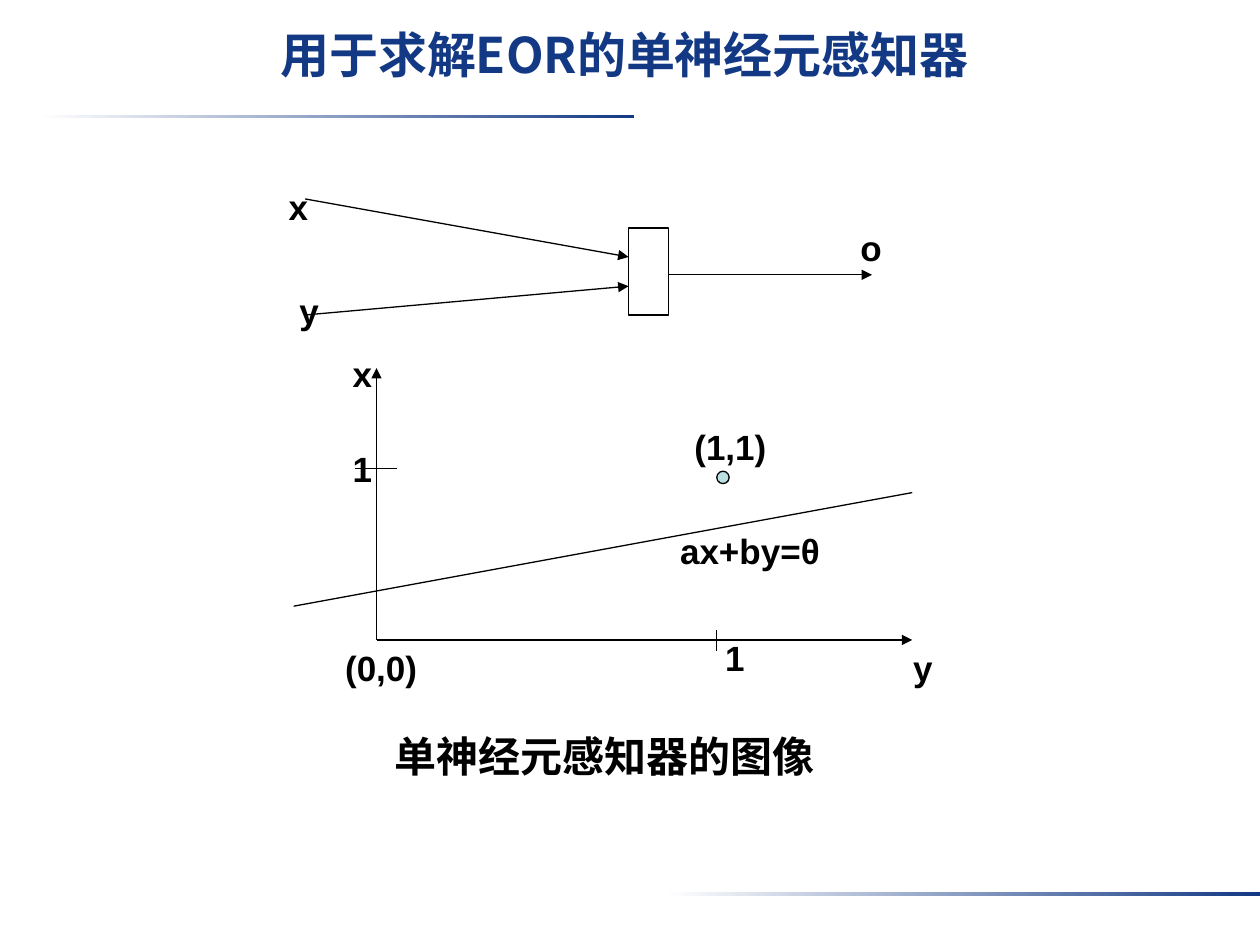
from typing import NamedTuple

import pptx
import pptx.dml.color
import pptx.enum.shapes
import pptx.enum.text
import pptx.util
from lxml import etree
from pptx.oxml.ns import qn

Cm = pptx.util.Cm
RGBColor = pptx.dml.color.RGBColor
SHAPE = pptx.enum.shapes.MSO_SHAPE
ALIGN = pptx.enum.text.PP_ALIGN
ANCHOR = pptx.enum.text.MSO_ANCHOR

NAVY = RGBColor(0x13, 0x39, 0x84)
BLACK = RGBColor(0, 0, 0)
WHITE = RGBColor(0xFF, 0xFF, 0xFF)
PALE_TEAL = RGBColor(0xBB, 0xE0, 0xE3)

LATIN, CHINESE = "Arial", "Noto Sans CJK SC"
LABEL_HEIGHT = 1.09
ORIGIN_X, ORIGIN_Y = 7.59, 12.9
AXIS_END_X, AXIS_END_Y = 18.39, 7.42
UNIT_X, UNIT_Y = 14.45, 9.45


class Box(NamedTuple):
    left: float
    top: float
    width: float
    height: float = LABEL_HEIGHT

    def lengths(self) -> list:
        return [Cm(value) for value in self]


class Run(NamedTuple):
    text: str
    font: str = LATIN
    size: int = 20
    color: RGBColor = BLACK


class Segment(NamedTuple):
    x1: float
    y1: float
    x2: float
    y2: float
    arrow: bool = False


class Label(NamedTuple):
    text: str
    box: Box


def add_text(slide, box: Box, runs: list[Run], align=ALIGN.CENTER,
             anchor=ANCHOR.TOP, spacing: float = 1.0):
    text_box = slide.shapes.add_textbox(*box.lengths())
    frame = text_box.text_frame
    frame.word_wrap = True
    frame.vertical_anchor = anchor
    paragraph = frame.paragraphs[0]
    paragraph.alignment = align
    paragraph.line_spacing = spacing
    for part in runs:
        run = paragraph.add_run()
        run.text = part.text
        font_format = {"name": part.font, "size": pptx.util.Pt(part.size), "bold": True}
        for attribute, value in font_format.items():
            setattr(run.font, attribute, value)
        run.font.color.rgb = part.color
        east_asian = etree.SubElement(run.font._element, qn("a:ea"))
        east_asian.set("typeface", part.font)
    return text_box


def add_outlined(slide, kind, box: Box, color: RGBColor) -> None:
    shape = slide.shapes.add_shape(kind, *box.lengths())
    shape.shadow.inherit = False
    shape.fill.solid()
    shape.fill.fore_color.rgb = color
    shape.line.color.rgb = BLACK
    shape.line.width = pptx.util.Pt(0.75)


def add_fading_bar(slide, box: Box) -> None:
    bar = slide.shapes.add_shape(SHAPE.RECTANGLE, *box.lengths())
    bar.shadow.inherit = False
    bar.line.fill.background()
    bar.fill.gradient()
    bar.fill.gradient_angle = 0
    for stop, color in zip(bar.fill.gradient_stops, (WHITE, NAVY)):
        stop.color.rgb = color


def add_segment(slide, segment: Segment) -> None:
    line = slide.shapes.add_connector(
        pptx.enum.shapes.MSO_CONNECTOR.STRAIGHT, *[Cm(value) for value in segment[:4]])
    line.line.color.rgb = BLACK
    line.line.width = pptx.util.Pt(0.75)
    if segment.arrow:
        etree.SubElement(line.line._get_or_add_ln(), qn("a:tailEnd")).set("type", "triangle")
    etree.SubElement(line._element.spPr, qn("a:effectLst"))


def add_labels(slide, labels: list[Label]) -> None:
    for label in labels:
        add_text(slide, label.box, [Run(label.text)])


def draw_neuron(slide) -> None:
    add_outlined(slide, SHAPE.RECTANGLE, Box(12.67, 4.6, 0.81, 1.75), WHITE)
    for signal in (
        Segment(6.15, 4.01, 12.67, 5.18, True),
        Segment(6.15, 6.35, 12.67, 5.77, True),
        Segment(13.49, 5.54, 17.58, 5.54, True),
    ):
        add_segment(slide, signal)
    add_labels(slide, [
        Label("x", Box(5.28, 3.61, 1.47)),
        Label("y", Box(5.28, 5.72, 1.9)),
        Label("o", Box(16.71, 4.45, 1.7)),
    ])


def draw_graph(slide) -> None:
    add_text(slide, Box(6.43, 14.6, 11.53, 1.27),
             [Run("单神经元感知器", CHINESE, 24), Run("的图像", LATIN, 24)],
             anchor=ANCHOR.MIDDLE)
    equation = add_text(slide, Box(13.46, 10.54, 5.03, 1.12), [Run("ax+by=θ")],
                        align=ALIGN.JUSTIFY)
    equation.fill.solid()
    equation.fill.fore_color.rgb = WHITE

    # Axes, unit ticks and the separating line
    for segment in (
        Segment(ORIGIN_X, ORIGIN_Y, ORIGIN_X, AXIS_END_Y, True),
        Segment(ORIGIN_X, ORIGIN_Y, AXIS_END_X, ORIGIN_Y, True),
        Segment(7.16, UNIT_Y, 8.0, UNIT_Y),
        Segment(UNIT_X, 12.7, UNIT_X, 13.13),
        Segment(5.92, 12.22, AXIS_END_X, 9.93),
    ):
        add_segment(slide, segment)
    add_outlined(slide, SHAPE.OVAL, Box(UNIT_X, 9.5, 0.25, 0.25), PALE_TEAL)
    add_labels(slide, [
        Label("1", Box(6.43, 8.89, 1.75)),
        Label("y", Box(17.73, ORIGIN_Y, 1.75)),
        Label("x", Box(6.43, 6.99, 1.75)),
        Label("1", Box(13.94, 12.7, 1.75)),
        Label("(0,0)", Box(6.68, ORIGIN_Y, 2.01)),
        Label("(1,1)", Box(13.72, 8.46, 2.01)),
    ])


def main() -> None:
    presentation = pptx.Presentation()
    presentation.slide_width, presentation.slide_height = Cm(25.4), Cm(19.05)
    slide = presentation.slides.add_slide(presentation.slide_layouts[6])

    # Title and decorative bars
    for bar in (Box(0.79, 2.31, 11.99, 0.08), Box(13.41, 17.98, 11.99, 0.08)):
        add_fading_bar(slide, bar)
    title = Run("用于求解EOR的单神经元感知器 ", CHINESE, 28, NAVY)
    add_text(slide, Box(0, 0.51, 25.4, 1.9), [title], spacing=0.9)

    draw_neuron(slide)
    draw_graph(slide)
    presentation.save("out.pptx")


if __name__ == "__main__":
    main()
